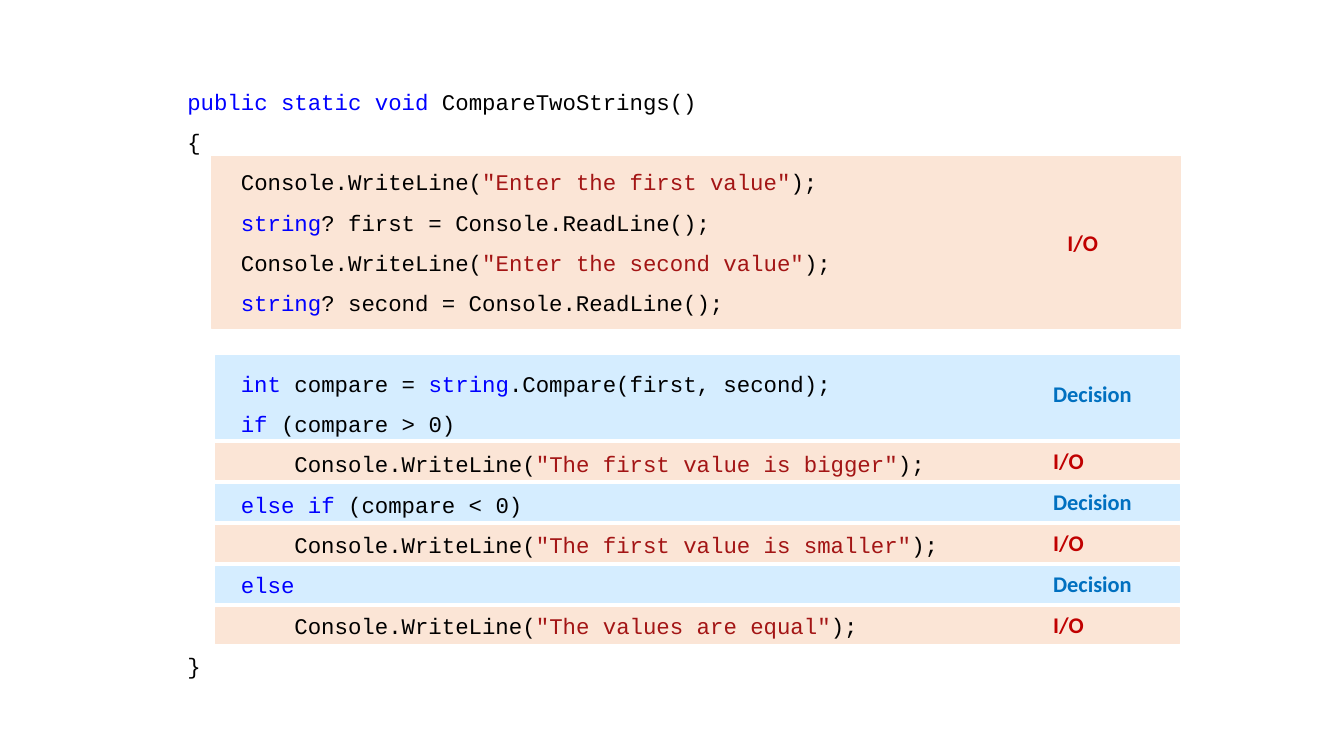
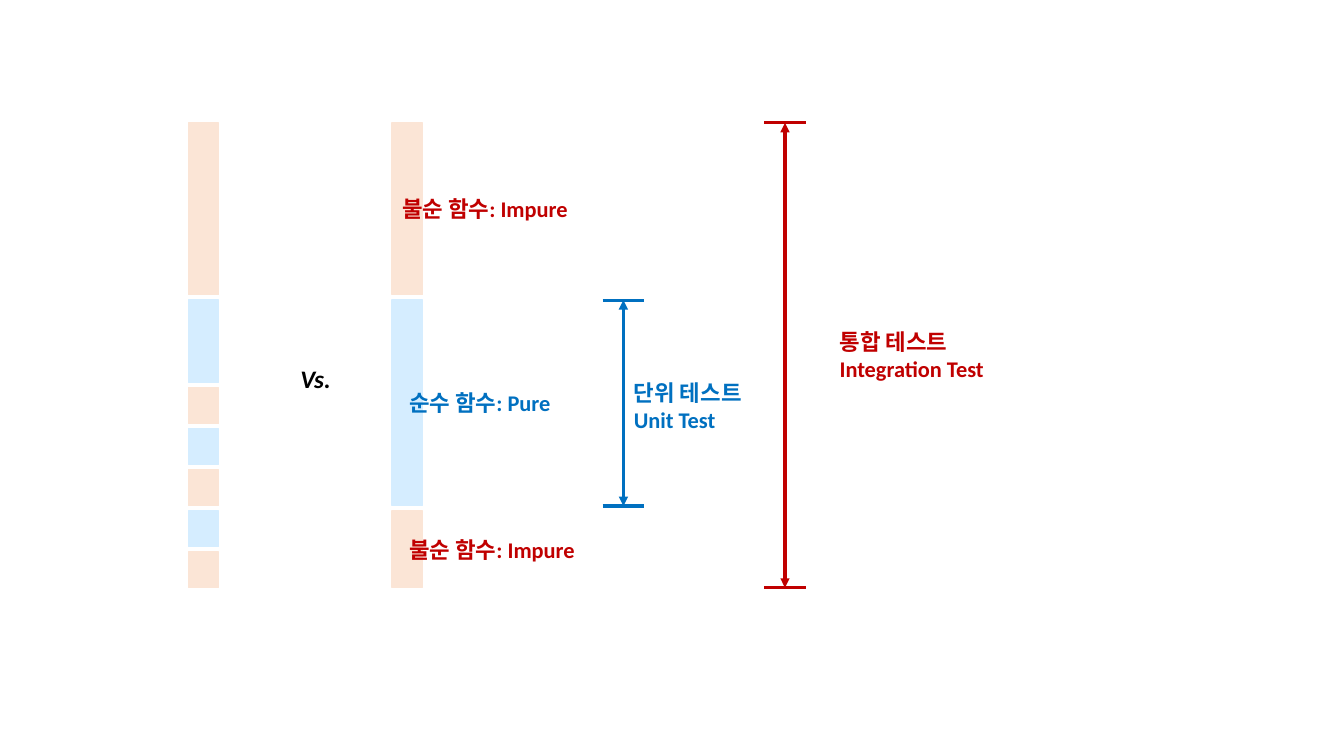
from lxml import etree
from pptx import Presentation
from pptx.dml.color import RGBColor
from pptx.enum.shapes import MSO_CONNECTOR, MSO_SHAPE
from pptx.enum.text import MSO_AUTO_SIZE
from pptx.oxml.ns import qn
from pptx.util import Pt

RED, BLUE, BLACK = "C00000", "0070C0", "000000"
PEACH, SKY = "FBE5D6", "D5EDFF"
KEYWORD, STRING = "0000FF", "A31515"
GAP = 3.8
IO_HEIGHT = 122.6
DECISION_HEIGHT = 59
LINE_HEIGHT = 25.5
BRANCHES = [(DECISION_HEIGHT, SKY)] + [
    (LINE_HEIGHT, fill) for fill in (PEACH, SKY, PEACH, SKY, PEACH)
]

# Backticks enclose keywords; an empty line becomes space before the next one.
CODE = """\
`public static void` CompareTwoStrings()
{
    Console.WriteLine("Enter the first value");
    `string`? first = Console.ReadLine();
    Console.WriteLine("Enter the second value");
    `string`? second = Console.ReadLine();

    `int` compare = `string`.Compare(first, second);
    `if` (compare > 0)
        Console.WriteLine("The first value is bigger");
    `else if` (compare < 0)
        Console.WriteLine("The first value is smaller");
    `else`
        Console.WriteLine("The values are equal");
}"""


def rgb(value):
    return RGBColor.from_string(value)


def add_bar(s, x, y, w, h, fill):
    bar = s.shapes.add_shape(MSO_SHAPE.RECTANGLE, Pt(x), Pt(y), Pt(w), Pt(h))
    bar.shadow.inherit = False
    bar.fill.solid()
    bar.fill.fore_color.rgb = rgb(fill)
    bar.line.color.rgb = rgb(fill)
    bar.line.width = Pt(1)


def add_stack(s, x, y, w, bars):
    """Stack (height, fill) bars downwards with equal gaps."""
    for h, fill in bars:
        add_bar(s, x, y, w, h, fill)
        y += h + GAP


def add_text_frame(s, x, y, w, h, wrap):
    tf = s.shapes.add_textbox(Pt(x), Pt(y), Pt(w), Pt(h)).text_frame
    tf.word_wrap = wrap
    tf.auto_size = MSO_AUTO_SIZE.SHAPE_TO_FIT_TEXT
    return tf


def add_label(s, x, y, w, text, color, size=16, italic=None):
    lines = text.split("\n")
    tf = add_text_frame(s, x, y, w, 7.2 + 1.22 * size * len(lines), False)
    tf.text = text
    for p in tf.paragraphs:
        p.font.name = "Calibri"
        p.font.size = Pt(size)
        p.font.bold = True
        p.font.italic = italic
        p.font.color.rgb = rgb(color)


def split_code(line):
    """Yield (text, colour) for each part of a code line."""
    for i, part in enumerate(line.split("`")):
        if i % 2:
            yield part, KEYWORD
            continue
        for j, piece in enumerate(part.split('"')):
            if j % 2:
                yield f'"{piece}"', STRING
            elif piece:
                yield piece, BLACK


def add_code(s, x, y, w, h):
    tf = add_text_frame(s, x, y, w, h, True)
    p = tf.paragraphs[0]
    space = 0
    for i, line in enumerate(CODE.split("\n")):
        if not line:
            space = 28.8
            continue
        if i:
            p = tf.add_paragraph()
        p.line_spacing = 1.5
        p.space_before = Pt(space)
        p.font.name = "Courier New"
        p.font.size = Pt(16)
        space = 0
        for text, color in split_code(line):
            r = p.add_run()
            r.text = text
            r.font.color.rgb = rgb(color)


def add_line(s, x1, y1, x2, y2, color, arrows=False):
    line = s.shapes.add_connector(
        MSO_CONNECTOR.STRAIGHT, Pt(x1), Pt(y1), Pt(x2), Pt(y2))
    line.line.color.rgb = rgb(color)
    line.line.width = Pt(2.25)
    if arrows:
        for end in ("a:headEnd", "a:tailEnd"):
            etree.SubElement(line.line._get_or_add_ln(), qn(end), type="triangle")
    etree.SubElement(line._element.spPr, qn("a:effectLst"))


def add_span(s, x, top, bottom, color):
    """Draw a double arrow between two end bars."""
    for y in (top, bottom):
        add_line(s, x - 14.8, y, x + 14.8, y, color)
    add_line(s, x, bottom, x, top, color, arrows=True)


def build_code_slide(s):
    add_stack(s, 154.1, 254.2, 688.3, BRANCHES)
    add_bar(s, 151.2, 111.6, 692, IO_HEIGHT, PEACH)
    add_code(s, 126.7, 49.7, 566.6, 440.6)
    add_label(s, 755.3, 159.8, 36.7, "I/O", RED)
    label_tops = [267.8] + [316.1 + i * (LINE_HEIGHT + GAP) for i in range(5)]
    for y, (_, fill) in zip(label_tops, BRANCHES):
        if fill == SKY:
            add_label(s, 745.2, y, 71.3, "Decision", BLUE)
        else:
            add_label(s, 745.2, y, 36.7, "I/O", RED)


def build_test_slide(s):
    top, pure_top, pure_bottom, bottom = 87.8, 214.4, 361.4, 419.8
    separated = [
        (IO_HEIGHT, PEACH),
        (pure_bottom - pure_top, SKY),
        (bottom - pure_bottom - GAP, PEACH),
    ]
    add_stack(s, 134.6, top, 21.6, [(IO_HEIGHT, PEACH)] + BRANCHES)
    add_stack(s, 280.1, top, 21.6, separated)
    add_label(s, 207.4, 255.6, 36.7, "Vs.", BLACK, size=18, italic=True)
    add_label(s, 280.1, 136.1, 138.2, "불순 함수: Impure", RED)
    add_label(s, 285.1, 274.3, 121, "순수 함수: Pure", BLUE)
    add_label(s, 285.1, 379.4, 138.2, "불순 함수: Impure", RED)
    add_span(s, 445.3, pure_top, pure_bottom, BLUE)
    add_span(s, 560.7, top, bottom, RED)
    add_label(s, 445.7, 267.1, 98.6, "단위 테스트\nUnit Test", BLUE)
    add_label(s, 592.6, 231.1, 118.8, "통합 테스트\nIntegration Test", RED)


def main():
    prs = Presentation()
    prs.slide_width, prs.slide_height = Pt(960), Pt(540)
    for build in (build_code_slide, build_test_slide):
        build(prs.slides.add_slide(prs.slide_layouts[6]))
    prs.save("out.pptx")


if __name__ == "__main__":
    main()
